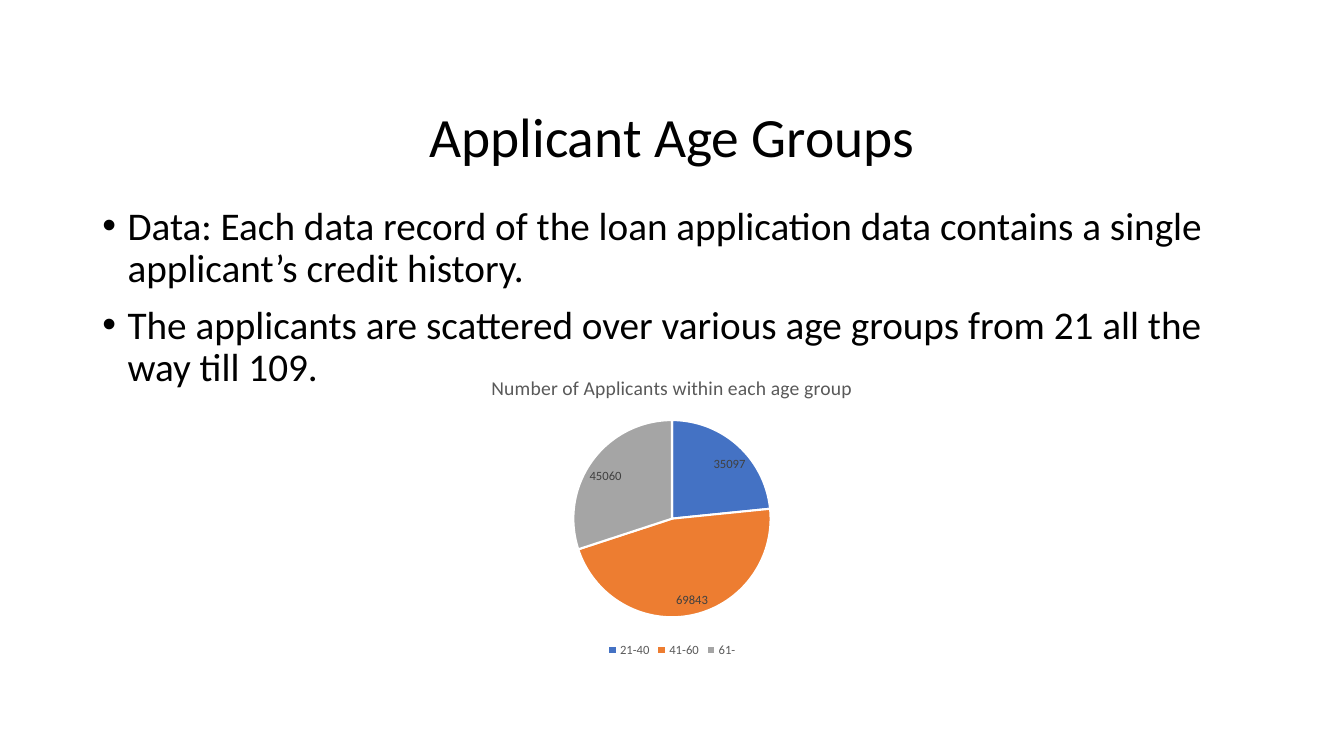
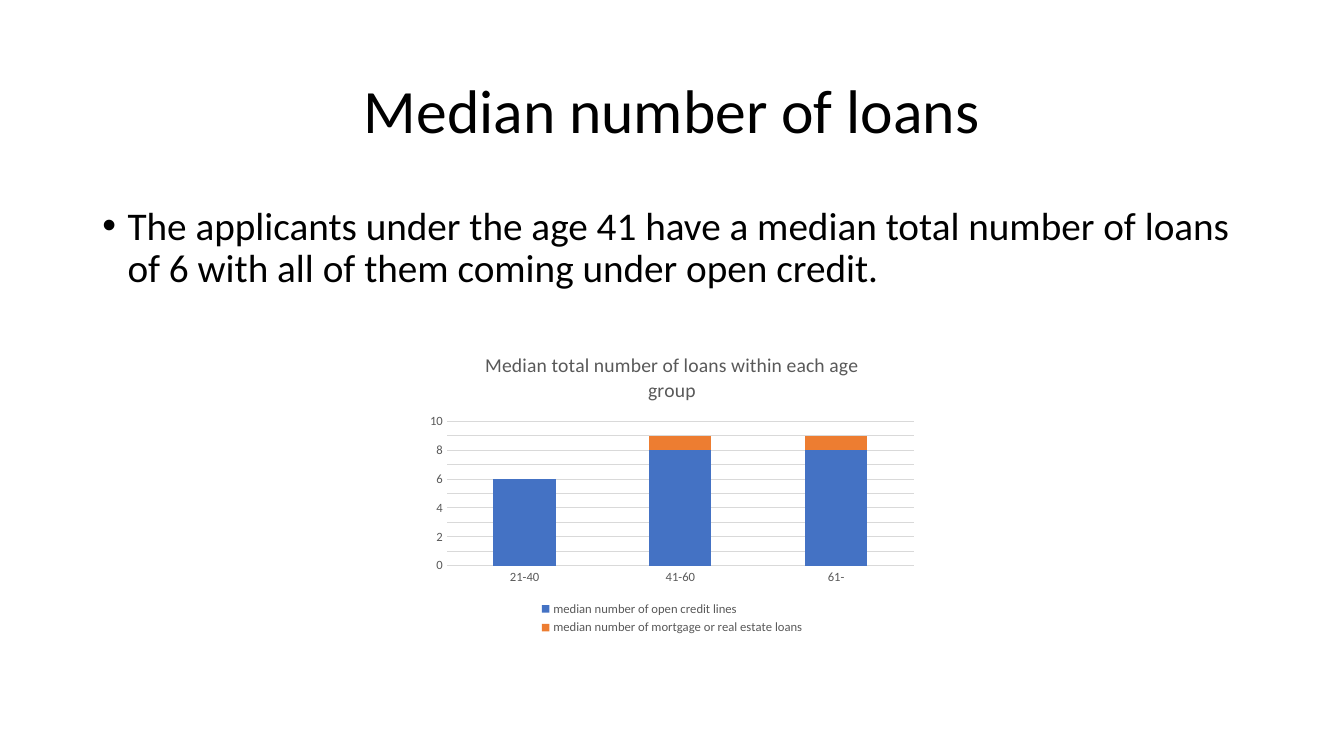
from pptx import Presentation
from pptx.chart.data import CategoryChartData
from pptx.dml.color import RGBColor
from pptx.enum.chart import XL_CHART_TYPE, XL_LABEL_POSITION, XL_LEGEND_POSITION, XL_TICK_MARK
from pptx.enum.text import MSO_ANCHOR, MSO_AUTO_SIZE, PP_ALIGN
from pptx.util import Inches, Pt

PIE, STACKED = XL_CHART_TYPE.PIE, XL_CHART_TYPE.COLUMN_STACKED
BOTTOM, BEST_FIT = XL_LEGEND_POSITION.BOTTOM, XL_LABEL_POSITION.BEST_FIT
NO_TICK = XL_TICK_MARK.NONE
CENTER, MIDDLE, NO_FIT = PP_ALIGN.CENTER, MSO_ANCHOR.MIDDLE, MSO_AUTO_SIZE.NONE

FONT = "Calibri"
BLACK, WHITE, GREY, DARK, RULE = "000000", "FFFFFF", "595959", "404040", "D9D9D9"
PALETTE = ["4472C4", "ED7D31", "A5A5A5"]
SLIDE_W, SLIDE_H = 13.33, 7.5
CONTENT_W, CHART_W, CHART_H = 11.5, 5, 3
TITLE_TOP, TITLE_H, BODY_TOP, BODY_H = 0.4, 1.45, 2, 4.76
AGES = ["21-40", "41-60", "61-"]

SLIDES = [
    {
        "title": "Applicant Age Groups", "size": 39.6, "drop": 0.52,
        "bullets": [
            "Data: Each data record of the loan application data contains a single applicant’s credit history.",
            "The applicants are scattered over various age groups from 21 all the way till 109.",
        ],
        "kind": PIE, "chart_top": 3.56,
        "chart_title": "Number of Applicants within each age group",
        "series": {"Series 1": [35097, 69843, 45060]},
    },
    {
        "title": "Median number of loans", "size": 44, "drop": 0,
        "bullets": [
            "The applicants under the age 41 have a median total number of loans of 6 "
            "with all of them coming under open credit.",
        ],
        "kind": STACKED, "chart_top": 3.34,
        "chart_title": "Median total number of loans within each age group",
        "series": {
            "median number of open credit lines": [6, 8, 8],
            "median number of mortgage or real estate loans": [0, 1, 1],
        },
    },
]


def rgb(value):
    return RGBColor.from_string(value)


def set_font(font, size, color):
    font.name, font.size, font.bold = FONT, Pt(size), False
    font.color.rgb = rgb(color)


def write(p, text, size=28, color=BLACK, align=None, before=0, indent=None, spacing=None):
    r = p.add_run()
    r.text = text
    set_font(r.font, size, color)
    p.alignment, p.space_before, p.line_spacing = align, Pt(before), spacing
    if indent:
        pPr = p._p.get_or_add_pPr()
        pPr.set("marL", str(Inches(indent)))
        pPr.set("indent", str(-Inches(indent)))


def box(width, top, height):
    return [Inches(v) for v in ((SLIDE_W - width) / 2, top, width, height)]


def place(sp, top, height):
    sp.left, sp.top, sp.width, sp.height = box(CONTENT_W, top, height)
    tf = sp.text_frame
    tf.word_wrap, tf.auto_size = True, NO_FIT
    return tf


def style_pie(chart):
    plot = chart.plots[0]
    plot.vary_by_categories = True
    for i, color in enumerate(PALETTE):
        fmt = plot.series[0].points[i].format
        fmt.fill.solid()
        fmt.fill.fore_color.rgb = rgb(color)
        fmt.line.color.rgb = rgb(WHITE)
        fmt.line.width = Pt(1.5)
    labels = plot.series[0].data_labels
    labels.show_value, labels.position = True, BEST_FIT
    set_font(labels.font, 9, DARK)


def style_columns(chart):
    plot = chart.plots[0]
    plot.vary_by_categories, plot.gap_width, plot.overlap = False, 150, 100
    for series, color in zip(plot.series, PALETTE):
        series.format.fill.solid()
        series.format.fill.fore_color.rgb = rgb(color)
    ages, counts = chart.category_axis, chart.value_axis
    for axis in (ages, counts):
        axis.major_tick_mark = axis.minor_tick_mark = NO_TICK
        set_font(axis.tick_labels.font, 9, GREY)
    counts.format.line.fill.background()
    for line in (ages.format.line, counts.major_gridlines.format.line):
        line.color.rgb = rgb(RULE)
        line.width = Pt(0.75)


def add_chart(s, item):
    data = CategoryChartData()
    data.categories = AGES
    for name, values in item["series"].items():
        data.add_series(name, values)
    area = box(CHART_W, item["chart_top"], CHART_H)
    chart = s.shapes.add_chart(item["kind"], *area, data).chart
    set_font(chart.font, 10, BLACK)
    chart.has_title = True
    write(chart.chart_title.text_frame.paragraphs[0], item["chart_title"], size=14, color=GREY)
    chart.chart_title.include_in_layout = False
    chart.has_legend = True
    chart.legend.position, chart.legend.include_in_layout = BOTTOM, False
    set_font(chart.legend.font, 9, GREY)
    (style_pie if item["kind"] == PIE else style_columns)(chart)


def add_slide(prs, item):
    s = prs.slides.add_slide(prs.slide_layouts[1])
    tf = place(s.shapes.title, TITLE_TOP, TITLE_H)
    tf.vertical_anchor = MIDDLE
    tf.margin_top = Inches(0.05 + item["drop"])
    write(tf.paragraphs[0], item["title"], size=item["size"], align=CENTER, spacing=0.9)
    tf = place(s.placeholders[1], BODY_TOP, BODY_H)
    for i, text in enumerate(item["bullets"]):
        p = tf.add_paragraph() if i else tf.paragraphs[0]
        write(p, text, before=10, indent=0.25, spacing=0.9)
    add_chart(s, item)


def main():
    prs = Presentation()
    prs.slide_width, prs.slide_height = Inches(SLIDE_W), Inches(SLIDE_H)
    for item in SLIDES:
        add_slide(prs, item)
    prs.save("out.pptx")


if __name__ == "__main__":
    main()
